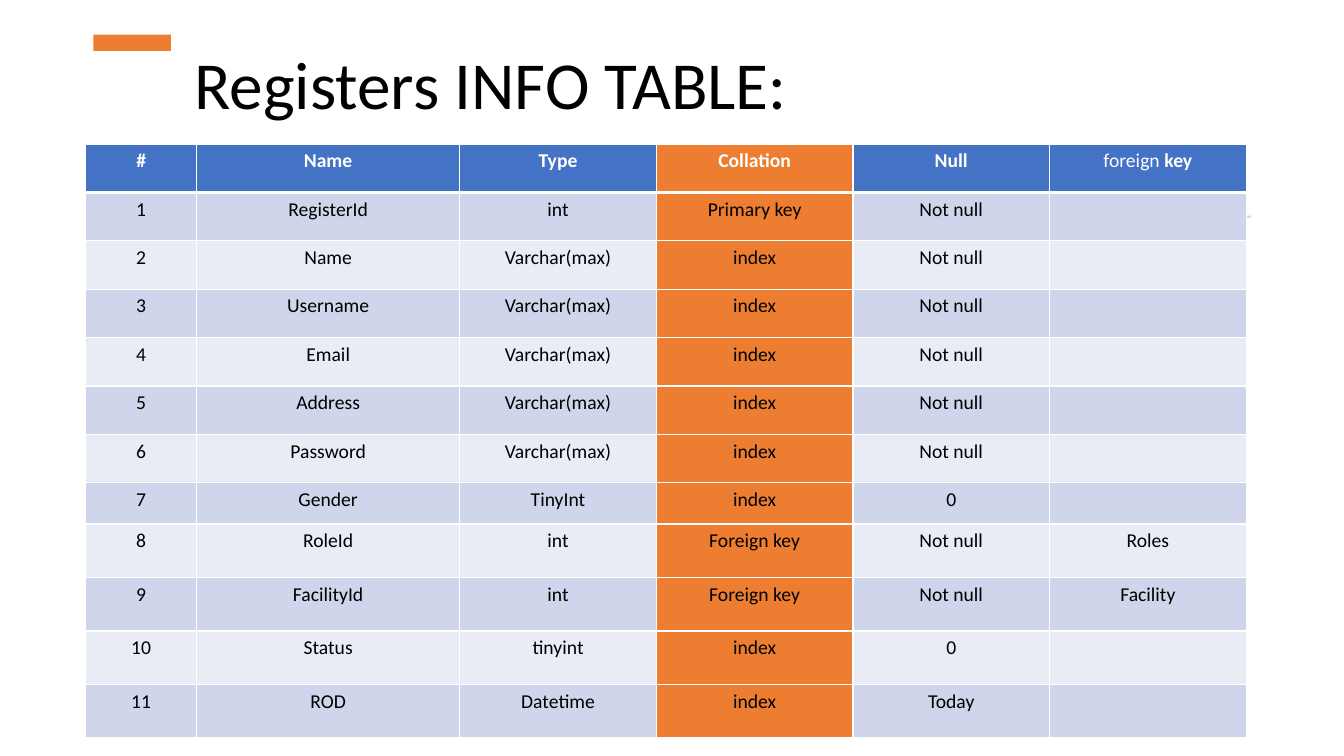
import dataclasses

import pptx
import pptx.dml.color
import pptx.enum.shapes
import pptx.enum.text
import pptx.oxml.ns
import pptx.util
from lxml import etree
from pptx.util import Inches


@dataclasses.dataclass(frozen=True)
class Theme:
    font: str = "Calibri"
    title_size: int = 48
    cell_size: int = 14
    text: str = "000000"
    white: str = "FFFFFF"
    header: str = "4472C4"
    accent: str = "ED7D31"
    bands: tuple = ("CFD5EA", "E9EBF5")
    rule: str = "D5D5D5"
    border: int = 1
    header_border: int = 3


THEME = Theme()
HEADINGS = ("#", "Name", "Type", "Collation", "Null", "foreign key")
ACCENT_COLUMN = HEADINGS.index("Collation")
FIELDS = (
    ("RegisterId", "int", "Primary key", "Not null", ""),
    ("Name", "Varchar(max)", "index", "Not null", ""),
    ("Username", "Varchar(max)", "index", "Not null", ""),
    ("Email", "Varchar(max)", "index", "Not null", ""),
    ("Address", "Varchar(max)", "index", "Not null", ""),
    ("Password", "Varchar(max)", "index", "Not null", ""),
    ("Gender", "TinyInt", "index", "0", ""),
    ("RoleId", "int", "Foreign key", "Not null", "Roles"),
    ("FacilityId", "int", "Foreign key", "Not null", "Facility"),
    ("Status", "tinyint", "index", "0", ""),
    ("ROD", "Datetime", "index", "Today", ""),
)
COLUMN_WIDTHS = [1.1, 2.61] + [1.95] * 4
ROW_HEIGHTS = [0.48] * 7 + [0.41] + [0.53] * 4


def rgb(color):
    return pptx.dml.color.RGBColor.from_string(color)


def style_font(paragraph, size, color):
    paragraph.font.name = THEME.font
    paragraph.font.size = pptx.util.Pt(size)
    paragraph.font.color.rgb = rgb(color)


def add_title(slide, text):
    title = slide.shapes.add_textbox(Inches(1.83), Inches(0.36), Inches(10.59), Inches(0.92))
    frame = title.text_frame
    frame.word_wrap = True
    frame.vertical_anchor = pptx.enum.text.MSO_ANCHOR.BOTTOM
    paragraph = frame.paragraphs[0]
    paragraph.text = text
    paragraph.line_spacing = 0.9
    style_font(paragraph, THEME.title_size, THEME.text)


def add_bar(slide, left, top, width, height, color, rotation=0):
    bar = slide.shapes.add_shape(
        pptx.enum.shapes.MSO_SHAPE.RECTANGLE,
        Inches(left), Inches(top), Inches(width), Inches(height))
    bar.rotation = rotation
    bar.shadow.inherit = False
    bar.fill.solid()
    bar.fill.fore_color.rgb = rgb(color)
    bar.line.fill.background()


def set_borders(cell, top, bottom):
    """Draw white borders; top and bottom are widths in points."""
    qn = pptx.oxml.ns.qn
    properties = cell._tc.get_or_add_tcPr()
    widths = {"a:lnL": THEME.border, "a:lnR": THEME.border, "a:lnT": top, "a:lnB": bottom}
    for tag, width in widths.items():
        line = etree.SubElement(properties, qn(tag), w=str(pptx.util.Pt(width)))
        fill = etree.SubElement(line, qn("a:solidFill"))
        etree.SubElement(fill, qn("a:srgbClr"), val=THEME.white)


def fill_cell(cell, text, row, column):
    is_header = row == 0
    set_borders(cell,
                top=THEME.header_border if row == 1 else THEME.border,
                bottom=THEME.header_border if is_header else THEME.border)
    background = THEME.header if is_header else THEME.bands[(row - 1) % 2]
    cell.fill.solid()
    cell.fill.fore_color.rgb = rgb(THEME.accent if column == ACCENT_COLUMN else background)
    cell.margin_left = cell.margin_right = Inches(0.11)
    cell.margin_top = cell.margin_bottom = Inches(0.05)
    paragraph = cell.text_frame.paragraphs[0]
    paragraph.alignment = pptx.enum.text.PP_ALIGN.CENTER
    style_font(paragraph, THEME.cell_size, THEME.white if is_header else THEME.text)
    if text == "foreign key":
        for part, bold in (("foreign ", False), ("key", True)):
            run = paragraph.add_run()
            run.text = part
            run.font.bold = bold
    else:
        paragraph.text = text
        paragraph.font.bold = is_header


def add_field_table(slide):
    rows = [HEADINGS] + [(str(number), *field) for number, field in enumerate(FIELDS, 1)]
    table = slide.shapes.add_table(
        len(rows), len(HEADINGS), Inches(0.85), Inches(1.43),
        Inches(sum(COLUMN_WIDTHS)), Inches(sum(ROW_HEIGHTS))).table
    for column, width in zip(table.columns, COLUMN_WIDTHS):
        column.width = Inches(width)
    for row, height in zip(table.rows, ROW_HEIGHTS):
        row.height = Inches(height)
    for row, texts in enumerate(rows):
        for column, text in enumerate(texts):
            fill_cell(table.cell(row, column), text, row, column)


def main():
    presentation = pptx.Presentation()
    presentation.slide_width = Inches(13.33)
    presentation.slide_height = Inches(7.5)
    slide = presentation.slides.add_slide(presentation.slide_layouts[6])
    add_title(slide, "Registers INFO TABLE:")
    add_bar(slide, 1.23, 0.04, 0.16, 0.77, THEME.accent, rotation=90)
    add_bar(slide, 0.92, 2.14, 11.49, 0.02, THEME.rule)
    add_field_table(slide)
    presentation.save("out.pptx")


if __name__ == "__main__":
    main()
